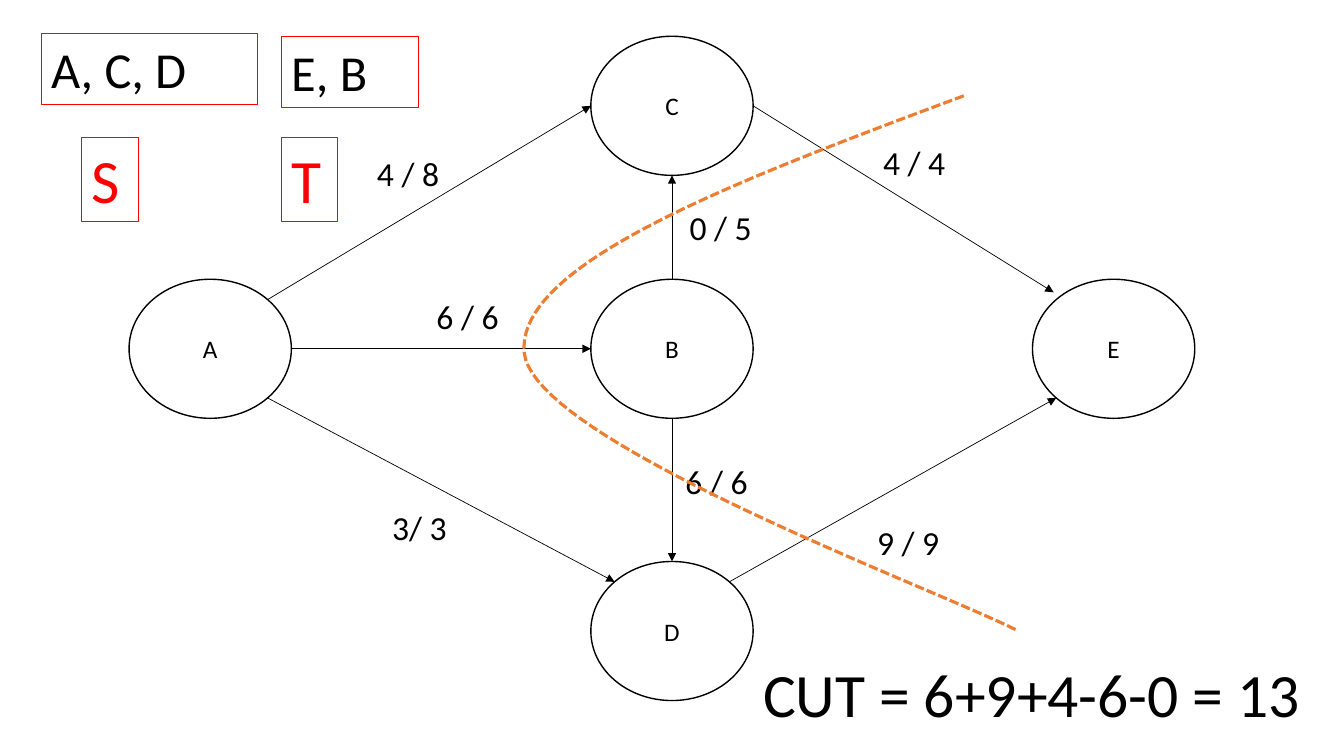
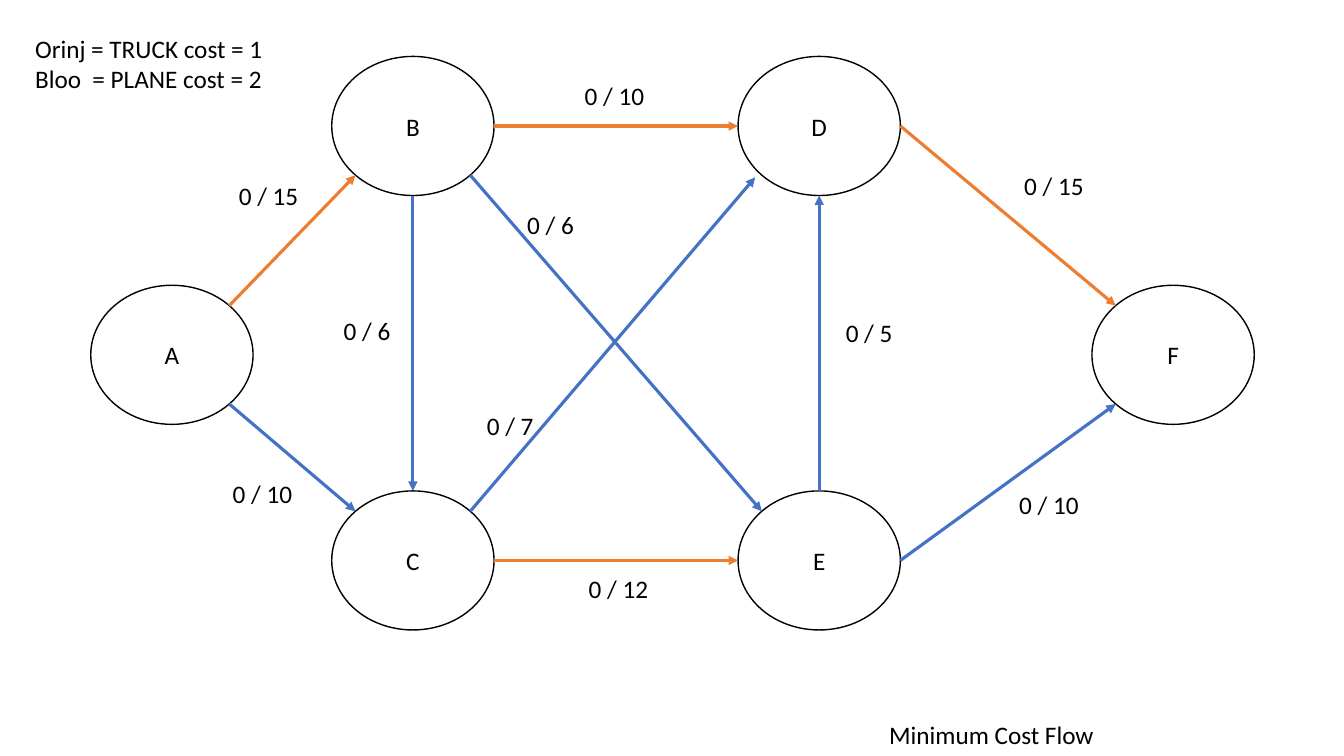
"""Build two network-flow slides: a cut of a flow network and a minimum cost flow."""
from dataclasses import dataclass
from enum import IntEnum
from math import cos, radians, sin
from typing import Optional

from lxml.etree import SubElement
from pptx import Presentation
from pptx.dml.color import RGBColor
from pptx.enum.dml import MSO_LINE
from pptx.enum.shapes import MSO_CONNECTOR, MSO_SHAPE
from pptx.enum.text import MSO_ANCHOR, MSO_AUTO_SIZE, PP_ALIGN
from pptx.oxml.ns import qn
from pptx.shapes.autoshape import Shape
from pptx.slide import Slide
from pptx.util import Inches, Pt

Point = tuple[float, float]


@dataclass(frozen=True)
class Theme:
    font: str = "Calibri"
    ink: RGBColor = RGBColor(0x00, 0x00, 0x00)
    paper: RGBColor = RGBColor(0xFF, 0xFF, 0xFF)
    red: RGBColor = RGBColor(0xFF, 0x00, 0x00)
    orange: RGBColor = RGBColor(0xED, 0x7D, 0x31)
    blue: RGBColor = RGBColor(0x44, 0x72, 0xC4)
    body: int = 18
    capacity: int = 24
    members: int = 36
    headline: int = 44
    hairline: float = 0.5
    frame: float = 0.75
    outline: float = 1
    bold_line: float = 2.25


THEME = Theme()
NODE_WIDTH, NODE_HEIGHT = 1.61, 1.38


class Site(IntEnum):
    """Connection sites of an ellipse, counted anticlockwise from the top."""
    TOP = 0
    TOP_LEFT = 1
    LEFT = 2
    BOTTOM_LEFT = 3
    BOTTOM = 4
    BOTTOM_RIGHT = 5
    RIGHT = 6
    TOP_RIGHT = 7


@dataclass(frozen=True)
class Edge:
    source: str
    leaves: Site
    target: str
    enters: Site
    flow: str
    flow_at: Point
    color: RGBColor = THEME.ink
    loose_end: Optional[Point] = None


@dataclass(frozen=True)
class Network:
    nodes: dict[str, Point]
    edges: list[Edge]
    edge_width: float
    flow_size: int
    flow_box: Point


@dataclass(frozen=True)
class Frame:
    text: str
    box: tuple[float, float, float, float]
    size: int
    color: RGBColor


def write(shape: Shape, text: str, *, size: int = THEME.body, color: RGBColor = THEME.ink,
          align: PP_ALIGN = PP_ALIGN.LEFT, anchor: MSO_ANCHOR = MSO_ANCHOR.TOP,
          fit: bool = True) -> None:
    """Write text into a shape, one paragraph per line."""
    frame = shape.text_frame
    frame.text = text
    frame.word_wrap = True
    frame.vertical_anchor = anchor
    frame.auto_size = MSO_AUTO_SIZE.SHAPE_TO_FIT_TEXT if fit else MSO_AUTO_SIZE.NONE
    for paragraph in frame.paragraphs:
        paragraph.alignment = align
        for run in paragraph.runs:
            run.font.name = THEME.font
            run.font.size = Pt(size)
            run.font.color.rgb = color


def add_text(slide: Slide, text: str, left: float, top: float, width: float, height: float,
             **style) -> Shape:
    """Add a text box, with lengths in inches."""
    box = slide.shapes.add_textbox(*map(Inches, (left, top, width, height)))
    write(box, text, **style)
    return box


def add_node(slide: Slide, name: str, corner: Point) -> Shape:
    """Add a network node."""
    node = slide.shapes.add_shape(
        MSO_SHAPE.OVAL, *map(Inches, (*corner, NODE_WIDTH, NODE_HEIGHT)))
    node.shadow.inherit = False
    node.fill.solid()
    node.fill.fore_color.rgb = THEME.paper
    node.line.color.rgb = THEME.ink
    node.line.width = Pt(THEME.outline)
    write(node, name, align=PP_ALIGN.CENTER, anchor=MSO_ANCHOR.MIDDLE, fit=False)
    return node


def site_point(corner: Point, site: Site) -> Point:
    """Return where a connection site lies on a node's rim."""
    angle = radians(90 + 45 * site)
    return (corner[0] + NODE_WIDTH / 2 * (1 + cos(angle)),
            corner[1] + NODE_HEIGHT / 2 * (1 - sin(angle)))


def add_edge(slide: Slide, edge: Edge, network: Network, shapes: dict[str, Shape]) -> None:
    """Draw an arrow and attach its ends to the nodes it touches."""
    start = site_point(network.nodes[edge.source], edge.leaves)
    end = edge.loose_end or site_point(network.nodes[edge.target], edge.enters)
    arrow = slide.shapes.add_connector(MSO_CONNECTOR.STRAIGHT, *map(Inches, (*start, *end)))
    arrow.line.color.rgb = edge.color
    arrow.line.width = Pt(network.edge_width)
    SubElement(arrow.line._get_or_add_ln(), qn("a:tailEnd"), type="triangle")
    SubElement(arrow._element.spPr, qn("a:effectLst"))
    joints = arrow._element.find(".//" + qn("p:cNvCxnSpPr"))
    SubElement(joints, qn("a:stCxn"), id=str(shapes[edge.source].shape_id),
               idx=str(int(edge.leaves)))
    if edge.loose_end is None:
        SubElement(joints, qn("a:endCxn"), id=str(shapes[edge.target].shape_id),
                   idx=str(int(edge.enters)))


def add_network(slide: Slide, network: Network) -> None:
    """Draw nodes, then edges, then flow labels."""
    shapes = {name: add_node(slide, name, corner) for name, corner in network.nodes.items()}
    for edge in network.edges:
        add_edge(slide, edge, network, shapes)
    for edge in network.edges:
        add_text(slide, edge.flow, *edge.flow_at, *network.flow_box, size=network.flow_size)


def bezier(controls: list[Point], steps: int = 40) -> list[Point]:
    """Sample a cubic curve, leaving out its first point."""
    weights = [((1 - t) ** 3, 3 * t * (1 - t) ** 2, 3 * t * t * (1 - t), t ** 3)
               for t in (step / steps for step in range(1, steps + 1))]
    return [(sum(w * x for w, (x, _) in zip(row, controls)),
             sum(w * y for w, (_, y) in zip(row, controls))) for row in weights]


def add_cut(slide: Slide, controls: list[Point]) -> None:
    """Draw the dashed cut through joined cubic curves."""
    points = [point for first in range(0, len(controls) - 1, 3)
              for point in bezier(controls[first:first + 4])]
    builder = slide.shapes.build_freeform(*map(Inches, controls[0]))
    builder.add_line_segments([(Inches(x), Inches(y)) for x, y in points], close=False)
    cut = builder.convert_to_shape()
    cut.shadow.inherit = False
    cut.fill.background()
    cut.line.color.rgb = THEME.orange
    cut.line.width = Pt(THEME.bold_line)
    cut.line.dash_style = MSO_LINE.SQUARE_DOT


def add_frame(slide: Slide, frame: Frame) -> None:
    """Add a red-framed text."""
    box = add_text(slide, frame.text, *frame.box, size=frame.size, color=frame.color)
    box.line.color.rgb = THEME.red
    box.line.width = Pt(THEME.frame)


CUT_NETWORK = Network(
    nodes={"A": (1.28, 2.77), "C": (5.86, 0.36), "D": (5.86, 5.57),
           "B": (5.86, 2.77), "E": (10.24, 2.77)},
    edges=[
        Edge("A", Site.RIGHT, "B", Site.LEFT, "6 / 6", (4.23, 2.89)),
        Edge("A", Site.TOP_RIGHT, "C", Site.LEFT, "4 / 8", (3.64, 1.47)),
        Edge("A", Site.BOTTOM_RIGHT, "D", Site.TOP_LEFT, "3/ 3", (3.79, 4.98)),
        Edge("B", Site.TOP, "C", Site.BOTTOM, "0 / 5", (6.74, 2)),
        Edge("B", Site.BOTTOM, "D", Site.TOP, "6 / 6", (6.7, 4.52)),
        Edge("D", Site.TOP_RIGHT, "E", Site.BOTTOM_LEFT, "9 / 9", (8.6, 5.13)),
        Edge("C", Site.RIGHT, "E", Site.TOP_LEFT, "4 / 4", (8.66, 1.36),
             loose_end=(10.45, 2.9)),
    ],
    edge_width=THEME.hairline, flow_size=THEME.capacity, flow_box=(0.85, 0.5))

COST_NETWORK = Network(
    nodes={"A": (0.9, 2.83), "B": (3.29, 0.56), "C": (3.29, 4.87),
           "D": (7.32, 0.56), "E": (7.32, 4.87), "F": (10.83, 2.83)},
    edges=[
        Edge("A", Site.TOP_RIGHT, "B", Site.BOTTOM_LEFT, "0 / 15", (2.27, 1.74), THEME.orange),
        Edge("A", Site.BOTTOM_RIGHT, "C", Site.TOP_LEFT, "0 / 10", (2.21, 4.7), THEME.blue),
        Edge("B", Site.RIGHT, "D", Site.LEFT, "0 / 10", (5.7, 0.75), THEME.orange),
        Edge("C", Site.RIGHT, "E", Site.LEFT, "0 / 12", (5.74, 5.64), THEME.orange),
        Edge("D", Site.RIGHT, "F", Site.TOP_LEFT, "0 / 15", (10.06, 1.64), THEME.orange),
        Edge("E", Site.RIGHT, "F", Site.BOTTOM_LEFT, "0 / 10", (10.01, 4.81), THEME.blue),
        Edge("C", Site.TOP_RIGHT, "D", Site.BOTTOM_LEFT, "0 / 7", (4.73, 4.02), THEME.blue,
             loose_end=(7.49, 1.76)),
        Edge("E", Site.TOP, "D", Site.BOTTOM, "0 / 5", (8.29, 3.1), THEME.blue),
        Edge("B", Site.BOTTOM_RIGHT, "E", Site.TOP_LEFT, "0 / 6", (5.13, 2.03), THEME.blue),
        Edge("B", Site.BOTTOM, "C", Site.TOP, "0 / 6", (3.31, 3.08), THEME.blue),
    ],
    edge_width=THEME.bold_line, flow_size=THEME.body, flow_box=(0.81, 0.4))

PARTITION = [
    Frame("A, C, D", (0.41, 0.33, 2.14, 0.71), THEME.members, THEME.ink),
    Frame("E, B", (2.79, 0.36, 1.36, 0.71), THEME.members, THEME.ink),
    Frame("S", (0.81, 1.36, 0.56, 0.84), THEME.headline, THEME.red),
    Frame("T", (2.79, 1.36, 0.56, 0.84), THEME.headline, THEME.red),
]
CUT_CURVE = [(9.56, 0.95), (7.34, 1.78), (5.11, 2.61), (5.2, 3.5),
             (5.29, 4.38), (9.28, 5.84), (10.1, 6.26)]


def build_cut_slide(slide: Slide) -> None:
    """Build the slide with the cut and its value."""
    add_network(slide, CUT_NETWORK)
    add_text(slide, "CUT = 6+9+4-6-0 = 13", 7.47, 6.46, 5.73, 0.84, size=THEME.headline)
    for frame in PARTITION:
        add_frame(slide, frame)
    add_cut(slide, CUT_CURVE)


def build_cost_slide(slide: Slide) -> None:
    """Build the slide with the minimum cost flow."""
    add_text(slide, "Minimum Cost Flow", 8.72, 7.09, 4.62, 0.4)
    add_network(slide, COST_NETWORK)
    add_text(slide, "Orinj = TRUCK cost = 1\nBloo  = PLANE cost = 2", 0.25, 0.28, 2.54, 0.71)


def main() -> None:
    """Build and save the presentation."""
    deck = Presentation()
    deck.slide_width, deck.slide_height = Inches(13.33), Inches(7.5)
    blank = deck.slide_layouts.get_by_name("Blank")
    for build in (build_cut_slide, build_cost_slide):
        build(deck.slides.add_slide(blank))
    deck.save("out.pptx")


main()
